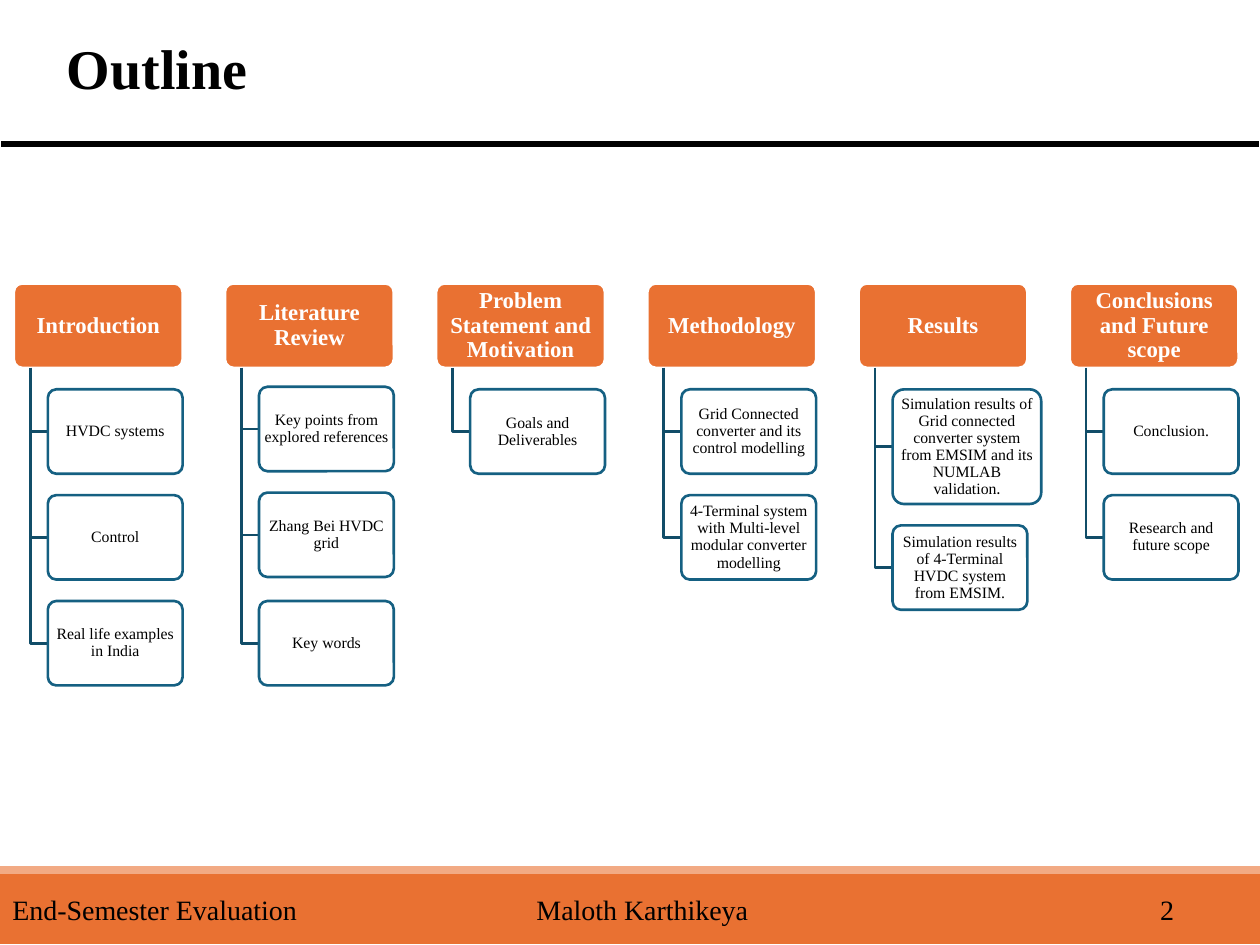
from dataclasses import dataclass

import lxml.etree
import pptx
import pptx.dml.color
import pptx.enum.shapes
import pptx.enum.text
import pptx.oxml.ns
import pptx.util

Inches = pptx.util.Inches
Pt = pptx.util.Pt
ShapeType = pptx.enum.shapes.MSO_SHAPE
Align = pptx.enum.text.PP_ALIGN
Anchor = pptx.enum.text.MSO_ANCHOR


def color(value):
    return pptx.dml.color.RGBColor.from_string(value)


@dataclass(frozen=True)
class Theme:
    font: str = "Times New Roman"
    stop_font: str = "Lato"
    text: str = "000000"
    white: str = "FFFFFF"
    accent: str = "E97132"
    accent_light: str = "F2AA84"
    border: str = "156082"
    branch: str = "114D68"
    title_size: int = 32
    topic_size: int = 13
    item_size: int = 9
    footer_size: int = 16
    line_width: float = 1.5


@dataclass(frozen=True)
class Grid:
    """Topic columns and stacked item rows, in inches."""
    left: float = 0.11
    top: float = 2.25
    pitch: float = (8.49 - 0.11) / 5
    topic_width: float = 1.34
    item_width: float = 1.07
    height: float = 0.67
    gap: float = 0.17
    branch_indent: float = 0.13
    item_indent: float = 0.27

    def column(self, index):
        return self.left + index * self.pitch

    @property
    def topic_bottom(self):
        return self.top + self.height


@dataclass(frozen=True)
class Item:
    text: str
    extra_width: float = 0
    extra_height: float = 0
    shift: float = 0
    stop: str = ""


TOPICS = [
    ("Introduction", [Item("HVDC systems"), Item("Control"),
                      Item("Real life examples in India")]),
    ("Literature Review", [Item("Key points from explored references", shift=-0.02),
                           Item("Zhang Bei HVDC grid", shift=-0.02),
                           Item("Key words")]),
    ("Problem Statement and Motivation", [Item("Goals and Deliverables")]),
    ("Methodology", [Item("Grid Connected converter and its control modelling"),
                     Item("4-Terminal system with Multi-level modular converter modelling")]),
    ("Results", [Item("Simulation results of Grid connected converter system "
                      "from EMSIM and its NUMLAB validation",
                      extra_width=0.11, extra_height=0.24, stop="."),
                 Item("Simulation results of 4-Terminal HVDC system from EMSIM.")]),
    ("Conclusions and Future scope", [Item("Conclusion."),
                                      Item("Research and future scope")]),
]


class OutlineSlide:
    def __init__(self, presentation, theme, grid):
        self.theme = theme
        self.grid = grid
        self.slide = presentation.slides.add_slide(presentation.slide_layouts[5])
        self.slide_width = presentation.slide_width

    def style_paragraph(self, paragraph, size, font_color, bold=False, align=Align.LEFT):
        paragraph.alignment = align
        font = paragraph.font
        font.name = self.theme.font
        font.size = Pt(size)
        font.bold = bold
        font.color.rgb = color(font_color)

    def title(self, text):
        title = self.slide.shapes.title
        title.left, title.top = Inches(0.43), Inches(0.18)
        title.width, title.height = Inches(5.25), Inches(0.77)
        title.text_frame.text = text
        title.text_frame.vertical_anchor = Anchor.MIDDLE
        paragraph = title.text_frame.paragraphs[0]
        self.style_paragraph(paragraph, self.theme.title_size, self.theme.text, True)
        paragraph.line_spacing = 0.9

    def outline(self, shape, line_color):
        shape.shadow.inherit = False
        shape.line.color.rgb = color(line_color)
        shape.line.width = Pt(self.theme.line_width)

    def bar(self, top, height, fill, line):
        """Add a band across the full slide width."""
        shape = self.slide.shapes.add_shape(
            ShapeType.RECTANGLE, 0, Inches(top), self.slide_width, Inches(height))
        shape.fill.solid()
        shape.fill.fore_color.rgb = color(fill)
        self.outline(shape, line)
        return shape

    def card(self, left, top, width, height, text, fill, line, size, font_color,
             bold=False, inset=0.02):
        shape = self.slide.shapes.add_shape(
            ShapeType.ROUNDED_RECTANGLE, Inches(left), Inches(top),
            Inches(width), Inches(height))
        shape.adjustments[0] = 0.1
        shape.fill.solid()
        shape.fill.fore_color.rgb = color(fill)
        self.outline(shape, line)
        frame = shape.text_frame
        frame.word_wrap = True
        frame.vertical_anchor = Anchor.MIDDLE
        frame.margin_left = frame.margin_right = Inches(inset)
        frame.margin_top = frame.margin_bottom = Inches(inset / 2)
        frame.text = text
        paragraph = frame.paragraphs[0]
        self.style_paragraph(paragraph, size, font_color, bold, Align.CENTER)
        paragraph.line_spacing = 0.9
        return shape

    def branch(self, left, end_left, end_top):
        """Draw an elbow from the topic's underside to an item's left side."""
        builder = self.slide.shapes.build_freeform(
            Inches(left), Inches(self.grid.topic_bottom))
        builder.add_line_segments(
            [(Inches(left), Inches(end_top)), (Inches(end_left), Inches(end_top))],
            close=False)
        shape = builder.convert_to_shape()
        shape.fill.background()
        self.outline(shape, self.theme.branch)

    def item(self, left, top, width, height, item):
        theme = self.theme
        shape = self.card(left, top, width, height, item.text, theme.white,
                          theme.border, theme.item_size, theme.text)
        fill_color = shape.fill._xPr.find(".//" + pptx.oxml.ns.qn("a:srgbClr"))
        lxml.etree.SubElement(fill_color, pptx.oxml.ns.qn("a:alpha"), val="90000")
        if item.stop:
            run = shape.text_frame.paragraphs[0].add_run()
            run.text = item.stop
            run.font.name = theme.stop_font

    def topic(self, index, heading, items):
        grid, theme = self.grid, self.theme
        left = grid.column(index)
        self.card(left, grid.top, grid.topic_width, grid.height, heading, theme.accent,
                  theme.white, theme.topic_size, theme.white, bold=True, inset=0.03)
        item_left = left + grid.item_indent
        row_top = grid.topic_bottom + grid.gap
        for item in items:
            top = row_top + item.shift
            height = grid.height + item.extra_height
            self.branch(left + grid.branch_indent, item_left, top + height / 2)
            self.item(item_left, top, grid.item_width + item.extra_width, height, item)
            row_top += height + grid.gap

    def footer(self, texts, tab_positions):
        theme = self.theme
        frame = self.bar(6.95, 0.53, theme.accent, theme.accent).text_frame
        frame.vertical_anchor = Anchor.MIDDLE
        frame.word_wrap = True
        paragraph = frame.paragraphs[0]
        paragraph.text = "\t".join(texts)
        tabs = lxml.etree.SubElement(
            paragraph._p.get_or_add_pPr(), pptx.oxml.ns.qn("a:tabLst"))
        for position in tab_positions:
            lxml.etree.SubElement(tabs, pptx.oxml.ns.qn("a:tab"),
                                  pos=str(Inches(position)), algn="l")
        self.style_paragraph(paragraph, theme.footer_size, theme.text)


def main():
    presentation = pptx.Presentation()
    presentation.slide_width, presentation.slide_height = Inches(10), Inches(7.5)
    theme = Theme()
    outline = OutlineSlide(presentation, theme, Grid())
    outline.title("Outline")
    outline.bar(6.88, 0.07, theme.accent_light, theme.accent_light)
    outline.bar(1.11, 0.07, theme.text, theme.white)
    for index, (heading, items) in enumerate(TOPICS):
        outline.topic(index, heading, items)
    outline.footer(["End-Semester Evaluation", "Maloth Karthikeya", "2"], [4.16, 9.11])
    presentation.save("out.pptx")


if __name__ == "__main__":
    main()
